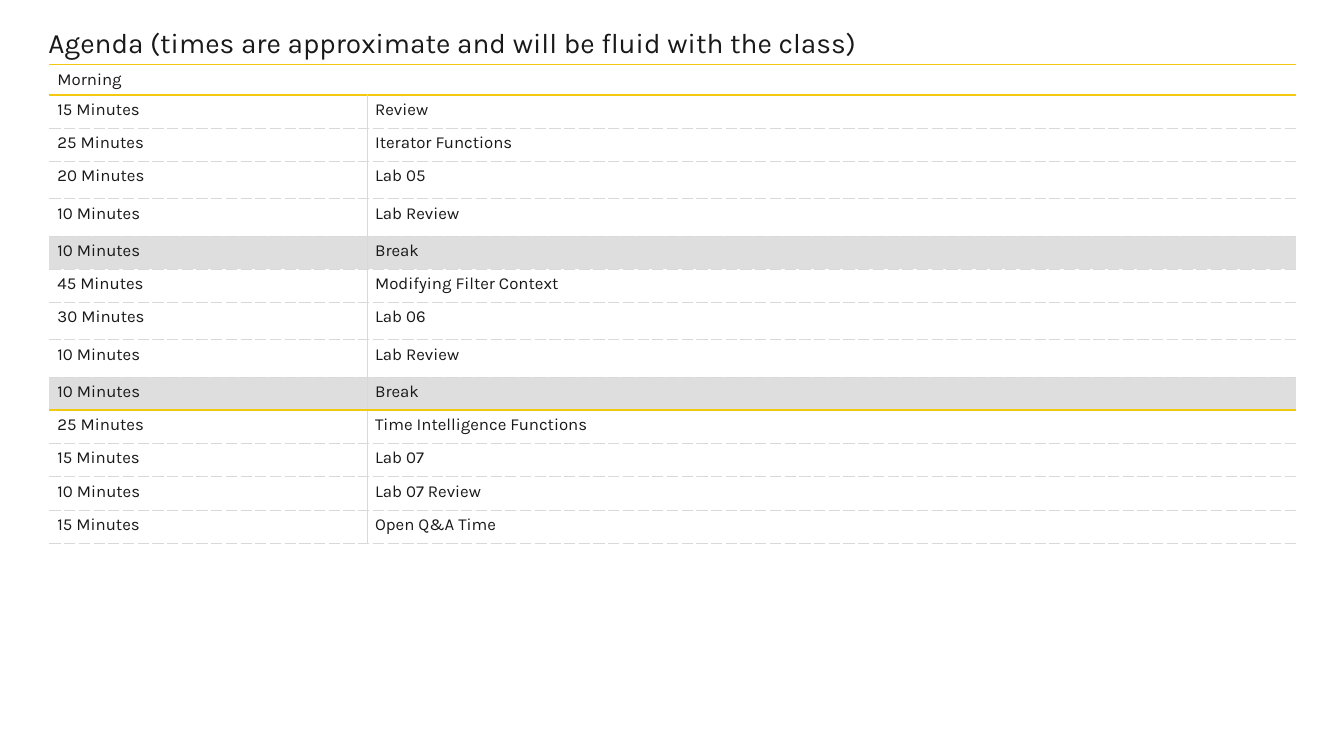
from dataclasses import dataclass

from lxml.etree import SubElement as Sub
from pptx import Presentation
from pptx.dml.color import RGBColor as Rgb
from pptx.enum.text import MSO_ANCHOR as Anchor
from pptx.oxml.ns import qn
from pptx.util import Inches, Pt


@dataclass(frozen=True)
class Theme:
    """Fonts, colours and sizes of the deck."""
    face: str = "Karla"
    ink: str = "191919"
    gold: str = "F2C811"
    rule: str = "D9D9D9"
    shade: str = "DEDEDE"
    head: float = 20
    body: float = 12
    lead: float = 31.4
    thick: float = 1.5
    thin: float = 0.5


def put(item, vals):
    """Set each named value on the item."""
    for name, val in vals.items():
        setattr(item, name, val)


class Deck:
    """Holds the theme and the current slide."""

    def __init__(self, theme):
        """Open a wide deck with one blank slide."""
        self.theme = theme
        self.file = Presentation()
        put(self.file, {"slide_width": Inches(13.33), "slide_height": Inches(7.5)})
        self.slide = self.file.slides.add_slide(self.file.slide_layouts[6])

    def label(self, frame, text, size):
        """Put one styled run in a text frame."""
        run = frame.paragraphs[0].add_run()
        run.text = text
        put(run.font, {"name": self.theme.face, "size": Pt(size)})
        run.font.color.rgb = Rgb.from_string(self.theme.ink)

    def title(self, text, box):
        """Add the heading."""
        frame = self.slide.shapes.add_textbox(*map(Inches, box)).text_frame
        put(frame, {"word_wrap": True, "vertical_anchor": Anchor.MIDDLE,
                    "margin_left": 0, "margin_right": 0,
                    "margin_top": 0, "margin_bottom": 0})
        frame.paragraphs[0].line_spacing = Pt(self.theme.lead)
        self.label(frame, text, self.theme.head)

    def edge(self, cell, side, line):
        """Draw one cell border, or none."""
        color, width, dash = line or (None, 0, None)
        node = Sub(cell._tc.get_or_add_tcPr(), qn(f"a:ln{side}"), w=str(Pt(width)))
        if not line:
            Sub(node, qn("a:noFill"))
            return
        Sub(Sub(node, qn("a:solidFill")), qn("a:srgbClr"), val=color)
        Sub(node, qn("a:prstDash"), val=dash)

    def cell(self, cell, text, lines, fill):
        """Style and fill one table cell."""
        put(cell, {"margin_left": Inches(0.08), "margin_right": Inches(0.08),
                   "margin_top": Inches(0.05), "margin_bottom": Inches(0.05)})
        for side, line in lines.items():
            self.edge(cell, side, line)
        if fill:
            cell.fill.solid()
            cell.fill.fore_color.rgb = Rgb.from_string(fill)
        else:
            cell.fill.background()
        if text:
            self.label(cell.text_frame, text, self.theme.body)

    def table(self, rows, spot, cols, highs, bold):
        """Add the agenda grid with bold rules above the given rows."""
        look = self.theme
        box = map(Inches, (*spot, sum(cols), sum(highs)))
        grid = self.slide.shapes.add_table(len(rows), len(cols), *box).table
        put(grid, {"first_row": False, "horz_banding": False})
        for col, wide in zip(grid.columns, cols):
            col.width = Inches(wide)
        for row, high in zip(grid.rows, highs):
            row.height = Inches(high)
        gold = (look.gold, look.thick, "solid")
        dash = (look.rule, look.thin, "dash")
        mid = (look.rule, look.thin, "solid")
        for r, row in enumerate(rows):
            fill = look.shade if row[1] == "Break" else None
            split = mid if row[1] else None
            for c, text in enumerate(row):
                lines = {"L": split if c else None, "R": None if c else split,
                         "T": gold if r in bold else dash,
                         "B": gold if r + 1 in bold else dash}
                self.cell(grid.cell(r, c), text, lines, fill)
        grid.cell(0, 0).merge(grid.cell(0, 1))


PLAN = [
    ("Morning", ""),
    ("15 Minutes", "Review"),
    ("25 Minutes", "Iterator Functions"),
    ("20 Minutes", "Lab 05"),
    ("10 Minutes", "Lab Review"),
    ("10 Minutes", "Break"),
    ("45 Minutes", "Modifying Filter Context"),
    ("30 Minutes", "Lab 06"),
    ("10 Minutes", "Lab Review"),
    ("10 Minutes", "Break"),
    ("25 Minutes", "Time Intelligence Functions"),
    ("15 Minutes", "Lab 07"),
    ("10 Minutes", "Lab 07 Review"),
    ("15 Minutes", "Open Q&A Time"),
]
HIGH = {"": 0.3, "Lab 05": 0.37, "Lab 06": 0.37, "Lab Review": 0.37}


def main():
    """Build the agenda slide."""
    deck = Deck(Theme())
    deck.title("Agenda (times are approximate and will be fluid with the class)",
               (0.48, 0.17, 12.36, 0.4))
    highs = [HIGH.get(topic, 0.33) for _, topic in PLAN]
    deck.table(PLAN, (0.49, 0.64), (3.15, 9.21), highs, {0, 1, 10})
    deck.file.save("out.pptx")


if __name__ == "__main__":
    main()
